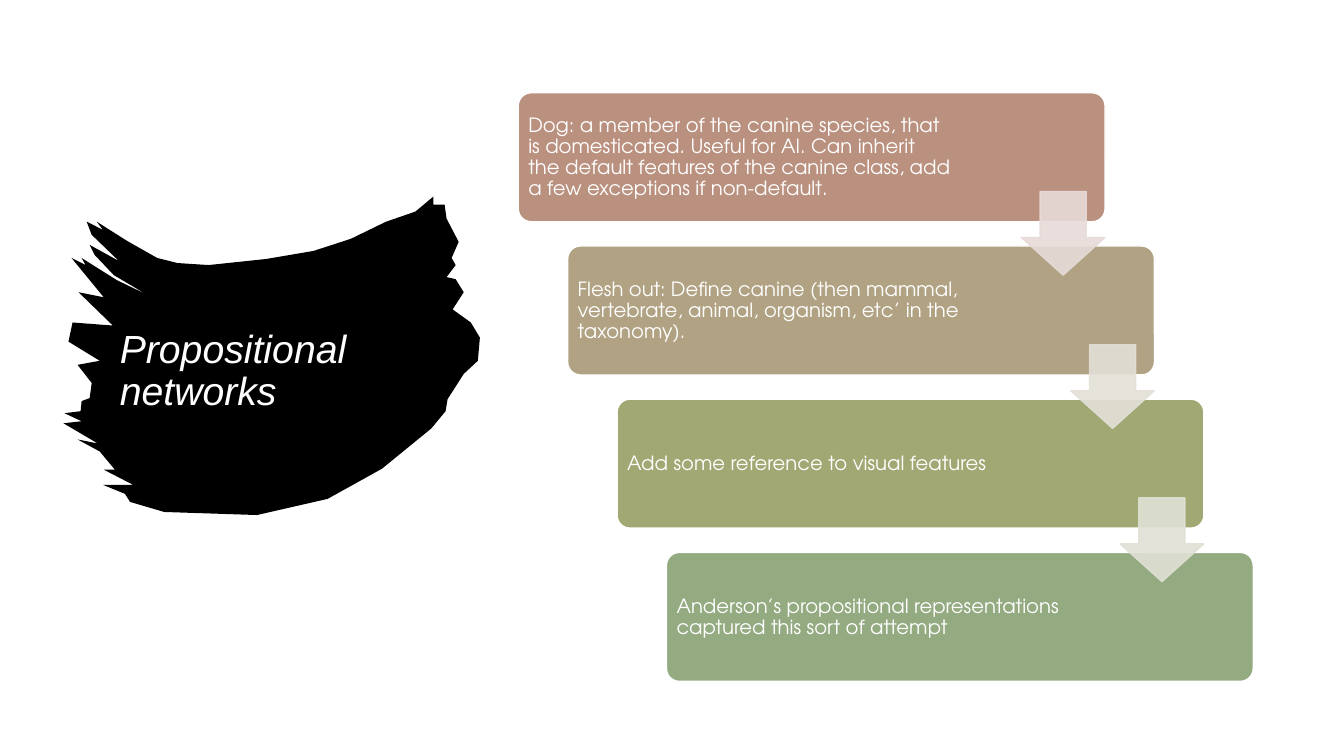
from lxml.etree import SubElement
from pptx import Presentation
from pptx.dml.color import RGBColor
from pptx.enum.shapes import MSO_SHAPE as Preset
from pptx.enum.text import MSO_ANCHOR as Anchor, PP_ALIGN as Align
from pptx.oxml.ns import qn
from pptx.util import Inches, Pt

BRUSH = [
    (4.3, 1.95), (4.3, 2.03), (4.41, 2.03), (4.43, 2.17), (4.55, 2.4),
    (4.48, 2.56), (4.52, 2.63), (4.43, 2.75), (4.52, 2.77), (4.6, 2.9),
    (4.49, 3.07), (4.67, 3.2), (4.76, 3.35), (4.74, 3.58), (4.6, 3.71),
    (4.44, 3.96), (4.42, 4.08), (4.28, 4.25), (3.79, 4.65), (3.25, 4.95),
    (2.55, 5.11), (1.63, 5.08), (1.29, 4.98), (1.24, 4.9), (1.02, 4.81),
    (1.32, 4.81), (1.03, 4.66), (1.14, 4.66), (0.99, 4.48), (0.77, 4.36),
    (0.97, 4.4), (0.63, 4.2), (0.81, 4.18), (0.64, 4.1), (0.8, 4.08),
    (0.81, 3.98), (0.89, 3.95), (0.91, 3.8), (0.77, 3.62), (0.99, 3.58),
    (0.68, 3.39), (0.72, 3.2), (1.12, 3.23), (0.78, 2.9), (1.03, 2.95),
    (0.71, 2.56), (0.85, 2.63), (0.81, 2.56), (1.16, 2.78), (1.45, 2.92),
    (1.13, 2.73), (0.94, 2.53), (0.89, 2.43), (1.18, 2.59), (0.91, 2.33),
    (0.86, 2.2), (1.02, 2.28), (0.96, 2.2), (1.26, 2.39), (1.56, 2.56),
    (1.76, 2.61), (2.07, 2.63), (2.64, 2.57), (3.11, 2.49), (3.48, 2.37),
    (3.83, 2.2), (4.12, 2.1),
]

STEPS = [
    ("Dog: a member of the canine species, that is domesticated. Useful for AI. "
     "Can inherit the default features of the canine class, add a few exceptions "
     "if non-default.", 4.32, "BA907F", "E7DBD8"),
    ("Flesh out: Define canine (then mammal, vertebrate, animal, organism, etc’ "
     "in the taxonomy).", 4.42, "B0A282", "E4E0D8"),
    ("Add some reference to visual features", 4.42, "A2A873", "E0E1D5"),
    ("Anderson’s propositional representations captured this sort of attempt",
     4.42, "94AA81", None),
]
STEP_RIGHT, STEP_DOWN = 0.49, 1.52


def color(value):
    return RGBColor.from_string(value)


class SlideBuilder:
    title_font = "Arial"
    body_font = "TeX Gyre Adventor"
    white = "FFFFFF"

    def __init__(self, page):
        self.page = page

    def paint(self, shape, fill, line=None, opacity=None):
        shape.shadow.inherit = False
        shape.fill.solid()
        shape.fill.fore_color.rgb = color(fill)
        if line:
            shape.line.color.rgb = color(line)
            shape.line.width = Pt(1)
        else:
            shape.line.fill.background()
        if opacity:
            for tone in shape._element.spPr.iter(qn("a:srgbClr")):
                SubElement(tone, qn("a:alpha"), val=str(opacity * 1000))

    def brush(self, points, fill):
        start, *rest = [(Inches(x), Inches(y)) for x, y in points]
        outline = self.page.shapes.build_freeform(*start)
        outline.add_line_segments(rest)
        self.paint(outline.convert_to_shape(), fill)

    def preset(self, kind, left, top, width, height, adjustments, **style):
        shape = self.page.shapes.add_shape(
            kind, Inches(left), Inches(top), Inches(width), Inches(height))
        for index, value in enumerate(adjustments):
            shape.adjustments[index] = value
        self.paint(shape, **style)

    def text(self, words, left, top, width, height, font, size, inset, italic=False):
        box = self.page.shapes.add_textbox(
            Inches(left), Inches(top), Inches(width), Inches(height))
        frame = box.text_frame
        frame.word_wrap = True
        frame.vertical_anchor = Anchor.MIDDLE
        frame.margin_left = frame.margin_right = Inches(inset)
        frame.margin_top = frame.margin_bottom = Inches(0.06)
        frame.text = words
        para = frame.paragraphs[0]
        para.alignment = Align.LEFT
        para.line_spacing = 0.9
        span = para.runs[0]
        span.font.name = font
        span.font.size = Pt(size)
        span.font.italic = italic
        span.font.color.rgb = color(self.white)


def main():
    deck = Presentation()
    deck.slide_width, deck.slide_height = Inches(13.33), Inches(7.5)
    builder = SlideBuilder(deck.slides.add_slide(deck.slide_layouts[6]))

    builder.brush(BRUSH, "000000")
    builder.text("Propositional networks", 1.09, 2.87, 3.29, 1.64,
                 builder.title_font, 28, 0.1, italic=True)

    for index, (words, text_width, fill, _) in enumerate(STEPS):
        left, top = 5.14 + index * STEP_RIGHT, 0.92 + index * STEP_DOWN
        builder.preset(Preset.ROUNDED_RECTANGLE, left, top, 5.82, 1.28, [0.1],
                       fill=fill, line=builder.white)
        builder.text(words, left + 0.04, top + 0.04, text_width, 1.21,
                     builder.body_font, 14, 0.06)

    for index, (_, _, _, tint) in enumerate(STEPS[:-1]):
        builder.preset(Preset.DOWN_ARROW, 10.13 + index * STEP_RIGHT,
                       1.9 + index * STEP_DOWN, 0.83, 0.83, [0.55, 0.45],
                       fill=tint, line=tint, opacity=90)

    deck.save("out.pptx")


if __name__ == "__main__":
    main()
